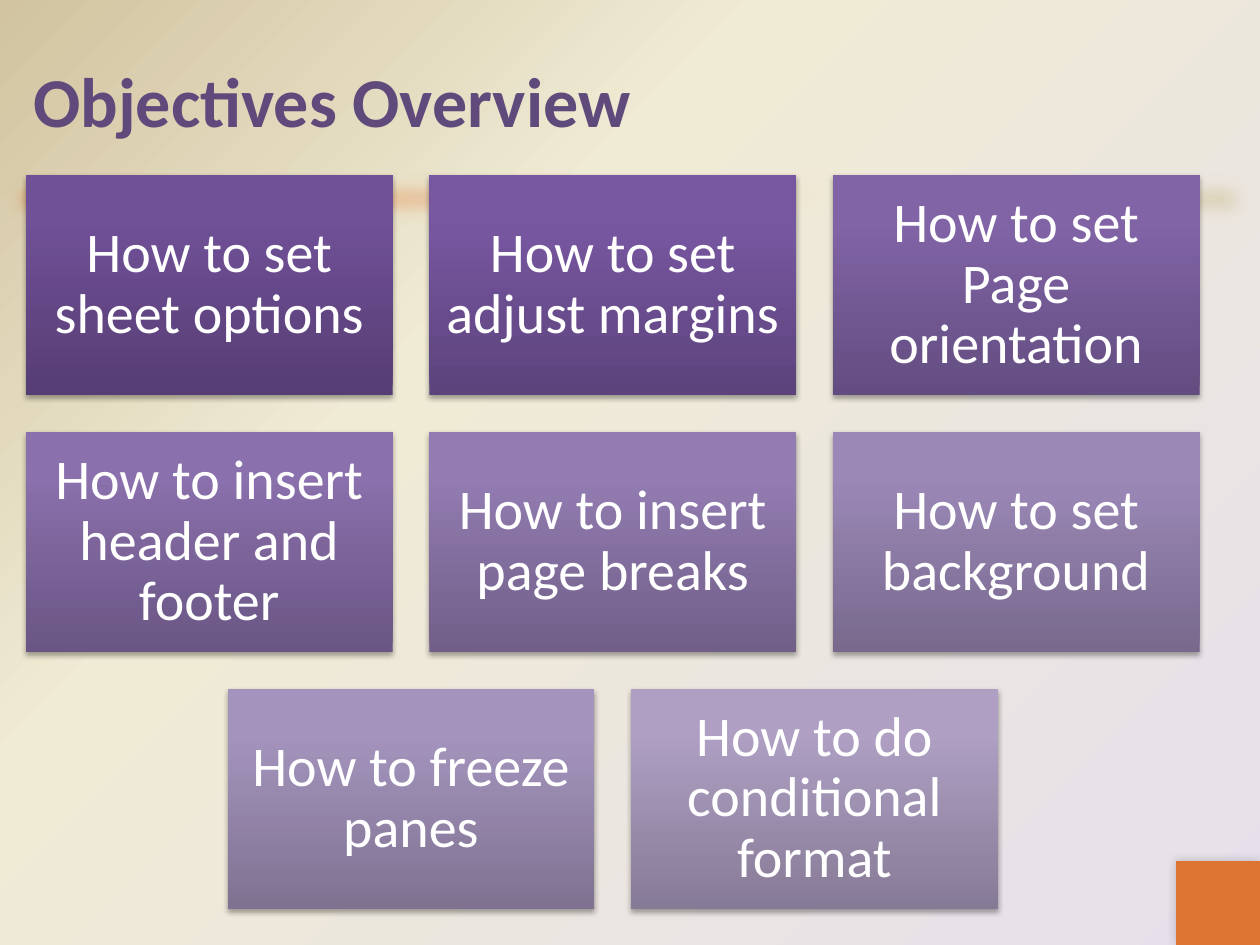
"""Build the objectives overview slide."""
from lxml import etree
from pptx import Presentation
from pptx import util as u
from pptx.dml.color import RGBColor
from pptx.enum import shapes, text
from pptx.oxml import parse_xml
from pptx.oxml.ns import nsdecls, qn

FONT = "Calibri"
CARD_WIDTH, CARD_HEIGHT, GAP = 209.6, 125.76, 20.96
GRID_LEFT, GRID_TOP, COLUMNS = 14.8, 100, 3
THEME_STOPS = [(0, "E6E0EC"), (65, "F0EBD5"), (100, "D1C39F")]
BAR_STOPS = [(0, "DB7531")] + THEME_STOPS[1:]
CARDS = [
    ("How to set sheet options", "563D74", "705097", "704F99"),
    ("How to set adjust margins", "5C437C", "7857A1", "7856A3"),
    ("How to set Page orientation", "634D80", "8164A6", "8163A8"),
    ("How to insert header and footer", "6A5684", "8A70AC", "8A6FAD"),
    ("How to insert page breaks", "715F88", "927CB1", "937BB3"),
    ("How to set background", "78698D", "9B88B7", "9C88B9"),
    ("How to freeze panes", "7F7291", "A494BD", "A594BE"),
    ("How to do conditional format", "867B96", "AE9FC3", "AE9FC4"),
]


def color(value):
    """Turn a hex string into a colour."""
    return RGBColor.from_string(value)


def set_gradient(properties, stops, direction):
    """Replace the solid fill in the properties with a gradient."""
    marks = "".join(
        f'<a:gs pos="{place * 1000}"><a:srgbClr val="{color(value)}"/></a:gs>'
        for place, value in stops)
    gradient = parse_xml(
        f'<a:gradFill {nsdecls("a")} rotWithShape="1"><a:gsLst>{marks}</a:gsLst>'
        f'{direction}</a:gradFill>')
    properties.replace(properties.find(qn("a:solidFill")), gradient)


def linear(degrees):
    """Describe a linear gradient direction."""
    return f'<a:lin ang="{degrees * 60000}" scaled="0"/>'


def effects(box):
    """Return the empty effect list of a shape."""
    box.shadow.inherit = False
    return box.element.spPr.find(qn("a:effectLst"))


def add_shadow(box, blur, distance, degrees, opacity):
    """Give a shape a soft black outer shadow."""
    shadow = etree.SubElement(
        effects(box), qn("a:outerShdw"), blurRad=str(u.Pt(blur)),
        dist=str(u.Pt(distance)), dir=str(degrees * 60000),
        algn="ctr", rotWithShape="0")
    shade = etree.SubElement(shadow, qn("a:srgbClr"), val="000000")
    etree.SubElement(shade, qn("a:alpha"), val=str(opacity * 1000))


def add_rectangle(page, left, top, width, height, fill):
    """Add a filled rectangle without an outline."""
    box = page.shapes.add_shape(
        shapes.MSO_SHAPE.RECTANGLE, u.Pt(left), u.Pt(top), u.Pt(width), u.Pt(height))
    box.fill.solid()
    box.fill.fore_color.rgb = color(fill)
    box.line.fill.background()
    return box


def write(box, words, size, fill, align, bold=False):
    """Write one vertically centred paragraph into a box."""
    frame = box.text_frame
    frame.word_wrap = True
    frame.vertical_anchor = text.MSO_ANCHOR.MIDDLE
    para = frame.paragraphs[0]
    para.alignment = align
    span = para.add_run()
    span.text = words
    span.font.name = FONT
    span.font.size = u.Pt(size)
    span.font.bold = bold
    span.font.color.rgb = color(fill)
    return para


def add_background(page):
    """Fill the page with a gradient spreading from its bottom right corner."""
    page.background.fill.solid()
    page.background.fill.fore_color.rgb = color(THEME_STOPS[0][1])
    direction = '<a:path path="circle"><a:fillToRect l="100000" t="100000"/></a:path>'
    set_gradient(page.element.find(".//" + qn("p:bgPr")), THEME_STOPS, direction)


def add_decoration(page):
    """Add the soft divider bar and the corner square."""
    bar = add_rectangle(page, 0, 96, 720, 36, BAR_STOPS[0][1])
    set_gradient(bar.element.spPr, BAR_STOPS, linear(45))
    etree.SubElement(effects(bar), qn("a:softEdge"), rad=str(u.Pt(12.5)))
    corner = add_rectangle(page, 672, 492, 48, 48, "DB7531")
    add_shadow(corner, 6, 0, 225, 20)


def add_title(page, words):
    """Add the slide title."""
    box = page.shapes.add_textbox(u.Pt(12), u.Pt(12), u.Pt(696), u.Pt(90))
    write(box, words, 40, "604A7B", text.PP_ALIGN.LEFT, bold=True)


def add_card(page, left, top, words, stops):
    """Add one objective card."""
    box = add_rectangle(page, left, top, CARD_WIDTH, CARD_HEIGHT, stops[0][1])
    set_gradient(box.element.spPr, stops, linear(270))
    add_shadow(box, 3.1, 1.8, 90, 35)
    frame = box.text_frame
    frame.margin_left = frame.margin_right = u.Pt(9.6)
    frame.margin_top = frame.margin_bottom = u.Pt(9.6)
    para = write(box, words, 32, "FFFFFF", text.PP_ALIGN.CENTER)
    para.line_spacing = 0.9


def add_cards(page):
    """Lay the cards out in rows, centring a short last row."""
    for index, (words, *shades) in enumerate(CARDS):
        row, column = divmod(index, COLUMNS)
        in_row = min(COLUMNS, len(CARDS) - row * COLUMNS)
        column += (COLUMNS - in_row) / 2
        add_card(page, GRID_LEFT + column * (CARD_WIDTH + GAP),
                 GRID_TOP + row * (CARD_HEIGHT + GAP),
                 words, list(zip((0, 80, 100), shades)))


def main():
    """Build and save the deck."""
    deck = Presentation()
    deck.slide_width, deck.slide_height = u.Pt(720), u.Pt(540)
    page = deck.slides.add_slide(deck.slide_layouts[6])
    add_background(page)
    add_decoration(page)
    add_title(page, "Objectives Overview")
    add_cards(page)
    deck.save("out.pptx")


if __name__ == "__main__":
    main()
